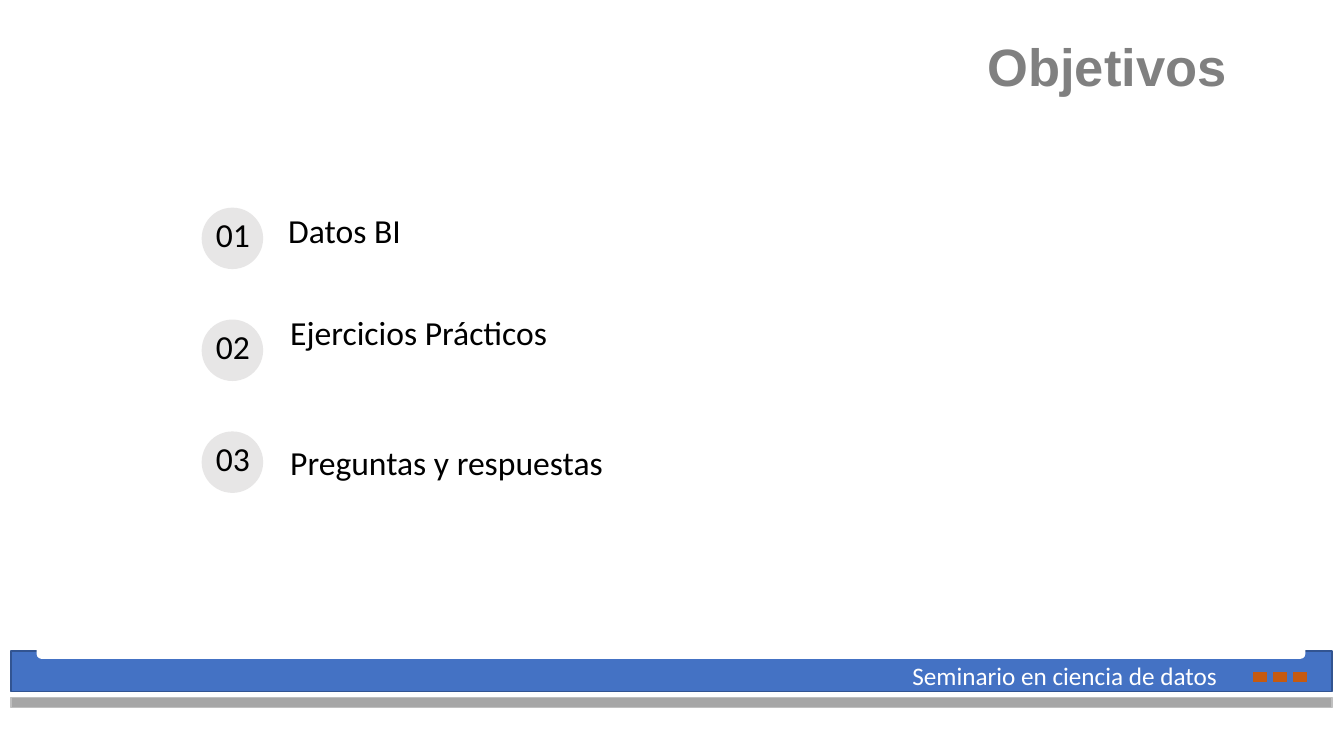
from pptx import Presentation
from pptx.dml.color import RGBColor
from pptx.enum.shapes import MSO_SHAPE
from pptx.enum.text import MSO_ANCHOR, PP_ALIGN
from pptx.util import Inches, Pt

RECT, ROUND_RECT, OVAL = MSO_SHAPE.RECTANGLE, MSO_SHAPE.ROUNDED_RECTANGLE, MSO_SHAPE.OVAL
LEFT, CENTER, RIGHT = PP_ALIGN.LEFT, PP_ALIGN.CENTER, PP_ALIGN.RIGHT
TOP, BOTTOM = MSO_ANCHOR.TOP, MSO_ANCHOR.BOTTOM

BLACK = RGBColor(0x00, 0x00, 0x00)
WHITE = RGBColor(0xFF, 0xFF, 0xFF)
BLUE = RGBColor(0x44, 0x72, 0xC4)
DARK_BLUE = RGBColor(0x32, 0x54, 0x91)
ORANGE = RGBColor(0xC5, 0x5A, 0x11)
TITLE_GRAY = RGBColor(0x80, 0x80, 0x80)
STRIP_GRAY = RGBColor(0xA6, 0xA6, 0xA6)
STRIP_EDGE = RGBColor(0xBF, 0xBF, 0xBF)
CIRCLE_GRAY = RGBColor(0xE7, 0xE6, 0xE6)


def write_text(frame, text, font="Calibri", size=24, color=BLACK, bold=False,
               align=LEFT, spacing=1.0):
    para = frame.paragraphs[0]
    para.alignment = align
    para.line_spacing = spacing
    span = para.add_run()
    span.text = text
    span.font.name = font
    span.font.size = Pt(size)
    span.font.bold = bold
    span.font.color.rgb = color


class SlideBuilder:
    def __init__(self, page):
        self.page = page

    def shape(self, kind, left, top, width, height, fill, line=None):
        shape = self.page.shapes.add_shape(
            kind, Inches(left), Inches(top), Inches(width), Inches(height))
        shape.shadow.inherit = False
        shape.fill.solid()
        shape.fill.fore_color.rgb = fill
        if line is None:
            shape.line.fill.background()
        else:
            shape.line.color.rgb = line
            shape.line.width = Pt(1)

    def text(self, text, left, top, width, height, insets=(0.1, 0.05, 0.1, 0.05),
             anchor=TOP, **style):
        box = self.page.shapes.add_textbox(
            Inches(left), Inches(top), Inches(width), Inches(height))
        frame = box.text_frame
        frame.word_wrap = True
        frame.vertical_anchor = anchor
        (frame.margin_left, frame.margin_top,
         frame.margin_right, frame.margin_bottom) = map(Inches, insets)
        write_text(frame, text, **style)


def main():
    deck = Presentation()
    deck.slide_width, deck.slide_height = Inches(13.33), Inches(7.5)
    page = deck.slides.add_slide(deck.slide_layouts[6])
    builder = SlideBuilder(page)

    # Footer bars
    builder.shape(RECT, 0.11, 6.46, 13.1, 0.4, BLUE, DARK_BLUE)
    builder.shape(ROUND_RECT, 0.37, 6.27, 12.57, 0.26, WHITE, WHITE)
    builder.shape(RECT, 0.11, 6.92, 13.1, 0.1, STRIP_GRAY, STRIP_EDGE)

    # Footer squares and caption
    for index in range(3):
        builder.shape(RECT, 12.43 + 0.2 * index, 6.67, 0.13, 0.09, ORANGE, ORANGE)
    builder.text("Seminario en ciencia de datos", 8.95, 6.5, 3.45, 0.4,
                 size=18, color=WHITE)

    # Title
    builder.text("Objetivos", 1.41, 0.4, 11, 0.6, insets=(0.1, 0.05, 0.24, 0.05),
                 anchor=BOTTOM, font="Arial", size=37.5, color=TITLE_GRAY,
                 bold=True, align=RIGHT, spacing=0.7)

    # Numbered goals: text, left, top, width, height
    goals = [
        ("Datos BI", 2.76, 2.13, 6.68, 0.45),
        ("Ejercicios Prácticos", 2.78, 3.14, 4.11, 0.79),
        ("Preguntas y respuestas", 2.78, 4.43, 3.58, 0.61),
    ]
    for index, (goal, *place) in enumerate(goals):
        top = 2.06 + 1.11 * index
        builder.shape(OVAL, 2, top, 0.61, 0.61, CIRCLE_GRAY)
        builder.text(f"{index + 1:02}", 1.86, top - 0.09, 0.9, 0.61,
                     insets=(0.1, 0.2, 0.1, 0.1), align=CENTER, spacing=0.9)
        builder.text(goal, *place, insets=(0.1, 0, 0.1, 0.1), spacing=0.9)

    deck.save("out.pptx")


if __name__ == "__main__":
    main()
